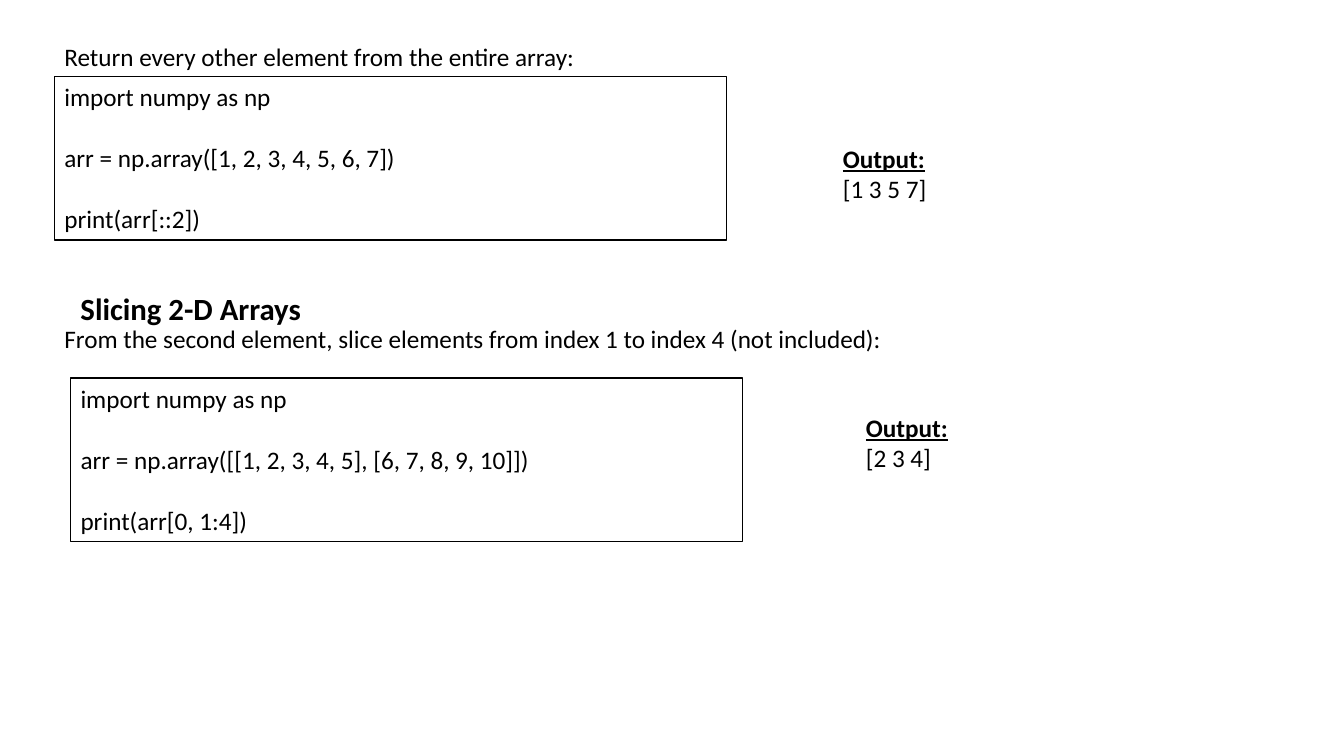
from dataclasses import dataclass

from pptx import Presentation
from pptx.dml.color import RGBColor
from pptx.enum.shapes import MSO_SHAPE as Shape
from pptx.enum.text import MSO_ANCHOR as Anchor, MSO_AUTO_SIZE as Fit, PP_ALIGN as Align
from pptx.util import Inches, Pt

WIDE, HIGH = Inches(13.33), Inches(7.5)
FONT, INK, PAPER = "Calibri", "000000", "FFFFFF"
BODY, HEAD, GAP = 18, 22, 22  # points; GAP is one line of body text


@dataclass
class Area:
    """Left, top, width and height in percent of the slide."""
    left: float
    top: float
    width: float
    height: float

    def place(self) -> tuple[int, int, int, int]:
        return (int(WIDE * self.left / 100), int(HIGH * self.top / 100),
                int(WIDE * self.width / 100), int(HIGH * self.height / 100))


@dataclass
class Label:
    area: Area
    text: str
    size: int = BODY
    bold: bool = False
    wrap: bool = False


@dataclass
class Sample:
    """A framed piece of code and the output it prints."""
    frame: Area
    code: list[str]
    side: Area
    result: str


LABELS = [
    Label(Area(4.05, 4.8, 39.91, 5.33), "Return every other element from the entire array:"),
    Label(Area(5.25, 37.73, 18.08, 6.27), "Slicing 2-D Arrays", HEAD, bold=True),
    Label(Area(4.05, 42.13, 75.69, 5.33),
          "From the second element, slice elements from index 1 to index 4 (not included):",
          wrap=True),
]
SAMPLES = [
    Sample(Area(4.05, 10.13, 50, 21.6),
           ["import numpy as np", "arr = np.array([1, 2, 3, 4, 5, 6, 7])", "print(arr[::2])"],
           Area(61.97, 18.27, 7.8, 9.47), "[1 3 5 7]"),
    Sample(Area(5.25, 50, 50, 21.6),
           ["import numpy as np", "arr = np.array([[1, 2, 3, 4, 5], [6, 7, 8, 9, 10]])",
            "print(arr[0, 1:4])"],
           Area(63.69, 53.87, 7.65, 9.47), "[2 3 4]"),
]


def color(code: str) -> RGBColor:
    return RGBColor.from_string(code)


def write(shape, lines: list[str], size: int = BODY, bold: bool = False,
          wrap: bool = False, gap: int = 0) -> None:
    """Fill a shape with lines of text, set apart by gap points."""
    frame = shape.text_frame
    frame.text = "\n".join(lines)
    frame.word_wrap = wrap
    frame.auto_size = Fit.SHAPE_TO_FIT_TEXT
    frame.vertical_anchor = Anchor.TOP
    for row, para in enumerate(frame.paragraphs):
        para.alignment = Align.LEFT
        if row and gap:
            para.space_before = Pt(gap)
        for run in para.runs:
            font = run.font
            font.name, font.size, font.bold = FONT, Pt(size), bold
            font.color.rgb = color(INK)


def add_label(slide, label: Label) -> None:
    box = slide.shapes.add_textbox(*label.area.place())
    write(box, [label.text], label.size, label.bold, label.wrap)


def add_sample(slide, sample: Sample) -> None:
    frame = slide.shapes.add_shape(Shape.RECTANGLE, *sample.frame.place())
    frame.shadow.inherit = False
    frame.fill.solid()
    frame.fill.fore_color.rgb = color(PAPER)
    frame.line.color.rgb = color(INK)
    frame.line.width = Pt(1)
    write(frame, sample.code, wrap=True, gap=GAP)

    side = slide.shapes.add_textbox(*sample.side.place())
    write(side, ["Output:", sample.result])
    title = side.text_frame.paragraphs[0].runs[0].font
    title.bold = title.underline = True


def main() -> None:
    deck = Presentation()
    deck.slide_width, deck.slide_height = WIDE, HIGH
    slide = deck.slides.add_slide(deck.slide_layouts[6])
    for sample in SAMPLES:
        add_sample(slide, sample)
    for label in LABELS:
        add_label(slide, label)
    deck.save("out.pptx")


if __name__ == "__main__":
    main()
